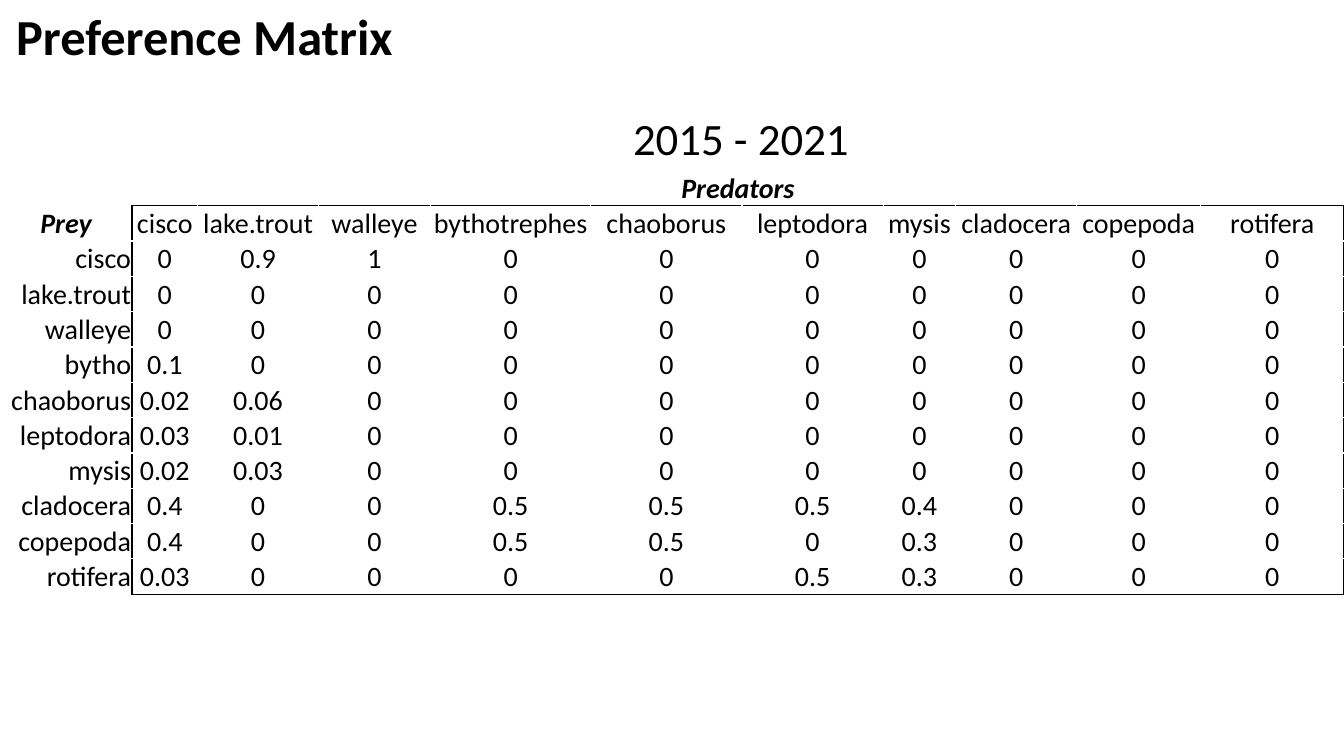
from lxml import etree
from pptx import Presentation, util as u
from pptx.dml.color import RGBColor
from pptx.enum import text
from pptx.oxml import ns

PX = 9144  # 100 px to the inch
FONT = "Calibri"
BLACK, WHITE = "000000", "FFFFFF"

SPECIES = ["cisco", "lake.trout", "walleye", "bythotrephes", "chaoborus",
           "leptodora", "mysis", "cladocera", "copepoda", "rotifera"]
PREFERENCES = {
    "cisco": "0 0.9 1 0 0 0 0 0 0 0",
    "lake.trout": "0 0 0 0 0 0 0 0 0 0",
    "walleye": "0 0 0 0 0 0 0 0 0 0",
    "bytho": "0.1 0 0 0 0 0 0 0 0 0",
    "chaoborus": "0.02 0.06 0 0 0 0 0 0 0 0",
    "leptodora": "0.03 0.01 0 0 0 0 0 0 0 0",
    "mysis": "0.02 0.03 0 0 0 0 0 0 0 0",
    "cladocera": "0.4 0 0 0.5 0.5 0.5 0.4 0 0 0",
    "copepoda": "0.4 0 0 0.5 0.5 0 0.3 0 0 0",
    "rotifera": "0.03 0 0 0 0 0.5 0.3 0 0 0",
}
COL_WIDTHS = [131, 65, 120, 111, 159, 150, 140, 72, 120, 123, 142]


def px(n):
    return u.Emu(n * PX)


def color(hex_string):
    return RGBColor.from_string(hex_string)


def add_run(p, words, size, bold=False, italic=False):
    r = p.add_run()
    r.text = words
    f = r.font
    f.name, f.size, f.bold, f.italic = FONT, u.Pt(size), bold, italic
    f.color.rgb = color(BLACK)


def fill_frame(sp, box, words, size, bold=False):
    """Place a text shape in its box and write one left-aligned line."""
    sp.left, sp.top, sp.width, sp.height = map(px, box)
    tf = sp.text_frame
    tf.word_wrap = True
    tf.vertical_anchor = text.MSO_ANCHOR.TOP
    tf.auto_size = text.MSO_AUTO_SIZE.NONE
    p = tf.paragraphs[0]
    p.alignment = text.PP_ALIGN.LEFT
    p.line_spacing = 1.0
    add_run(p, words, size, bold)


def add_title(s, box):
    fill_frame(s.shapes.title, box, "Preference Matrix", 36, bold=True)


def add_period(s, box):
    fill_frame(s.shapes.add_textbox(0, 0, 0, 0), box, "2015 - 2021", 32)


def add_borders(cell, sides):
    """Draw 1 pt lines on the sides named, in the order L, R, T, B."""
    tcPr = cell._tc.get_or_add_tcPr()
    for side in sides:
        ln = etree.SubElement(tcPr, ns.qn("a:ln" + side), w=str(u.Pt(1)))
        solid = etree.SubElement(ln, ns.qn("a:solidFill"))
        etree.SubElement(solid, ns.qn("a:srgbClr"), val=BLACK)


def frame_sides(row, col, last_row, last_col):
    """Sides of a cell that touch the frame around the matrix."""
    if row == 0:
        return "B" if col else ""
    if col == 0:
        return "R"
    edges = {"L": col == 1, "R": col == last_col,
             "T": row == 1, "B": row == last_row}
    return [side for side, on_edge in edges.items() if on_edge]


def add_matrix(s, box):
    rows = [["", "Predators"] + [""] * (len(SPECIES) - 1), ["Prey"] + SPECIES]
    rows += [[prey] + values.split() for prey, values in PREFERENCES.items()]
    last_row, last_col = len(rows) - 1, len(SPECIES)
    table = s.shapes.add_table(len(rows), len(COL_WIDTHS), *map(px, box)).table
    table.first_row = table.horz_banding = False
    for column, width in zip(table.columns, COL_WIDTHS):
        column.width = px(width)
    for row in table.rows:
        row.height = px(box[3] // len(rows))
    table.cell(0, 1).merge(table.cell(0, last_col))

    for i, row in enumerate(rows):
        for j, words in enumerate(row):
            cell = table.cell(i, j)
            add_borders(cell, frame_sides(i, j, last_row, last_col))
            cell.fill.solid()
            cell.fill.fore_color.rgb = color(WHITE)
            cell.margin_left = cell.margin_right = cell.margin_top = px(1)
            cell.margin_bottom = 0
            is_value = i > 1 and j > 0
            cell.vertical_anchor = (text.MSO_ANCHOR.BOTTOM if is_value
                                    else text.MSO_ANCHOR.MIDDLE)
            p = cell.text_frame.paragraphs[0]
            is_prey = i > 1 and j == 0
            p.alignment = (text.PP_ALIGN.RIGHT if is_prey
                           else text.PP_ALIGN.CENTER)
            if words:
                heading = words in ("Predators", "Prey")
                add_run(p, words, 20, bold=heading, italic=heading)


def main():
    prs = Presentation()
    prs.slide_width, prs.slide_height = px(1333), px(750)
    s = prs.slides.add_slide(prs.slide_layouts[5])
    add_matrix(s, (0, 169, 1333, 420))
    add_period(s, (618, 105, 249, 64))
    add_title(s, (6, 0, 491, 71))
    prs.save("out.pptx")


if __name__ == "__main__":
    main()
